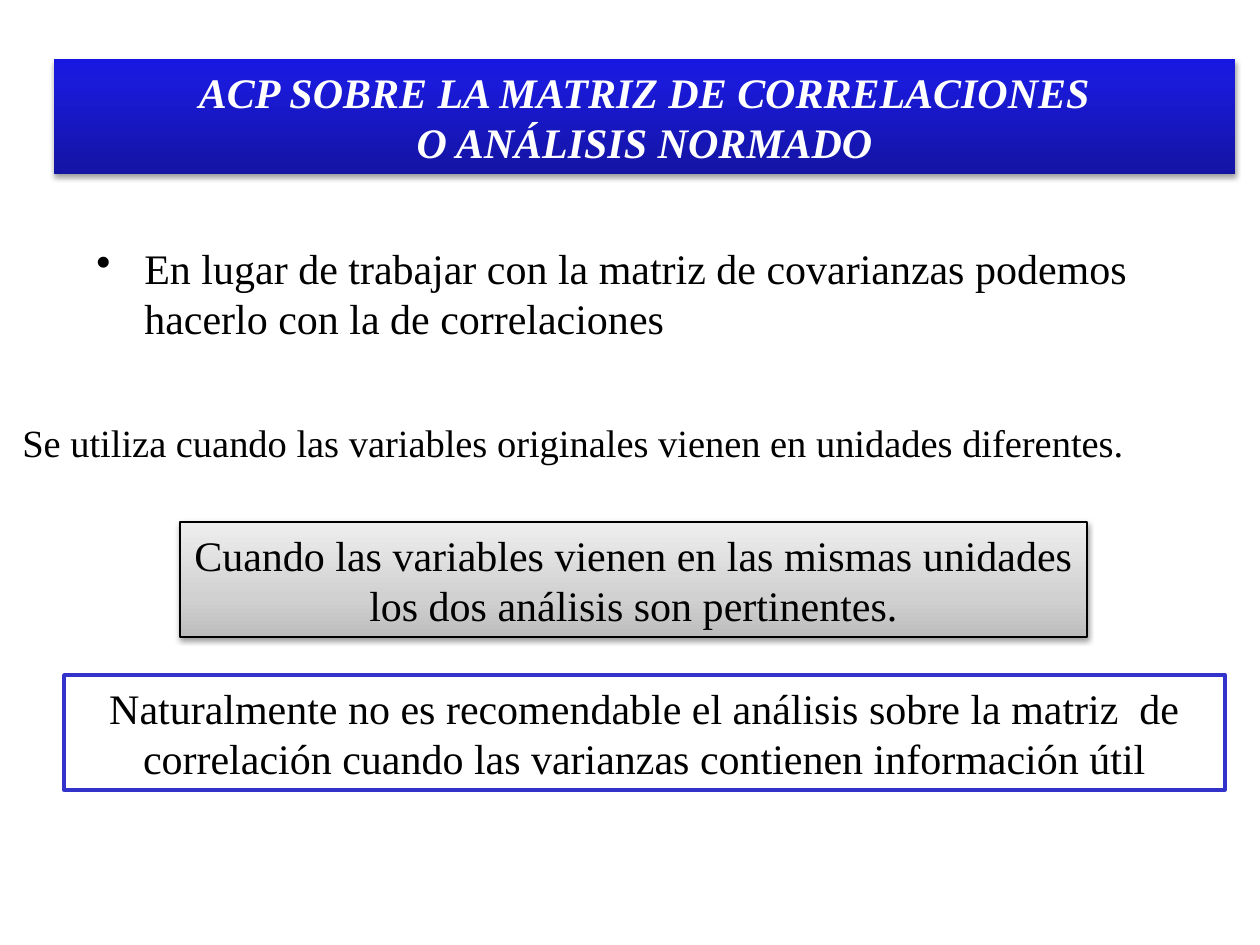
from lxml import etree
from pptx import Presentation
from pptx.dml.color import RGBColor
from pptx.enum.shapes import MSO_SHAPE
from pptx.enum.text import MSO_ANCHOR, PP_ALIGN
from pptx.oxml.ns import qn
from pptx.util import Emu, Pt

PX = 914400 / 126
FONT = "Times New Roman"
RECT = MSO_SHAPE.RECTANGLE
CENTER, LEFT = PP_ALIGN.CENTER, PP_ALIGN.LEFT
MIDDLE, TOP = MSO_ANCHOR.MIDDLE, MSO_ANCHOR.TOP
TITLE_STOPS = [(0, "1414A4"), (80, "1A1ADA"), (100, "1717E2")]
GREY_STOPS = [(0, "BDBDBD"), (35, "D1D1D1"), (100, "EEEEEE")]


def px(n):
    """Turn pixels into EMU."""
    return Emu(round(n * PX))


def rgb(value):
    """Turn a hex string into a colour."""
    return RGBColor.from_string(value)


def add_element(parent, tag, **attrs):
    """Append an XML child with the given attributes."""
    return etree.SubElement(parent, qn(tag), {k: str(v) for k, v in attrs.items()})


def set_gradient(sp, stops):
    """Fill a shape with a gradient that runs from bottom to top."""
    sp.fill.gradient()
    sp.fill.gradient_angle = 90
    stop_list = sp._element.spPr.find(".//" + qn("a:gsLst"))
    for old in list(stop_list):
        stop_list.remove(old)
    for pos, value in stops:
        gs = add_element(stop_list, "a:gs", pos=pos * 1000)
        add_element(gs, "a:srgbClr", val=value)


def set_shadow(sp, alpha):
    """Give a shape a soft shadow below it."""
    sp.shadow.inherit = False
    effects = sp._element.spPr.find(qn("a:effectLst"))
    shadow = add_element(effects, "a:outerShdw", blurRad=40000, dist=20000,
                         dir=5400000, rotWithShape=0)
    color = add_element(shadow, "a:srgbClr", val="000000")
    add_element(color, "a:alpha", val=alpha * 1000)


def set_text(sp, text, size=24, color="000000", align=CENTER, anchor=MIDDLE):
    """Write one paragraph into a shape and return it."""
    tf = sp.text_frame
    tf.text = text
    tf.word_wrap = True
    tf.vertical_anchor = anchor
    p = tf.paragraphs[0]
    p.alignment = align
    p.font.name, p.font.size = FONT, Pt(size)
    p.font.color.rgb = rgb(color)
    return p


def add_title(s, box, text):
    """Place and format the title placeholder as a blue banner."""
    sp = s.shapes.title
    sp.left, sp.top, sp.width, sp.height = map(px, box)
    set_gradient(sp, TITLE_STOPS)
    set_shadow(sp, 38)
    p = set_text(sp, text, color="FFFFFF")
    p.font.bold = p.font.italic = True


def add_text(s, box, text, size=24):
    """Add a left-aligned text box and return its paragraph."""
    sp = s.shapes.add_textbox(*map(px, box))
    return set_text(sp, text, size, align=LEFT, anchor=TOP)


def add_bullet(p, indent):
    """Give a paragraph a hanging round bullet."""
    pPr = p._p.get_or_add_pPr()
    pPr.set("marL", str(px(indent)))
    pPr.set("indent", str(-px(indent)))
    bullet = etree.Element(qn("a:buChar"), char="•")
    pPr.insert(0, bullet)


def add_box(s, box, text, line, width):
    """Add a white outlined rectangle with centred text."""
    sp = s.shapes.add_shape(RECT, *map(px, box))
    sp.shadow.inherit = False
    sp.fill.solid()
    sp.fill.fore_color.rgb = rgb("FFFFFF")
    sp.line.color.rgb = rgb(line)
    sp.line.width = Pt(width)
    set_text(sp, text)
    return sp


def main():
    """Build the slide and save it."""
    prs = Presentation()
    prs.slide_width, prs.slide_height = px(1260), px(945)
    s = prs.slides.add_slide(prs.slide_layouts[5])
    add_title(s, (54, 59, 1181, 115),
              "ACP SOBRE LA MATRIZ DE CORRELACIONES\vO ANÁLISIS NORMADO")
    p = add_text(s, (84, 236, 1071, 139),
                 "En lugar de trabajar con la matriz de covarianzas podemos "
                 "hacerlo con la de correlaciones")
    add_bullet(p, 48)
    add_text(s, (10, 413, 1235, 59),
             "Se utiliza cuando las variables originales vienen en unidades "
             "diferentes.", 22)
    add_box(s, (64, 675, 1161, 115),
            "Naturalmente no es recomendable el análisis sobre la matriz  de "
            "correlación cuando las varianzas contienen información útil",
            "3333CC", 2)
    same_units = add_box(s, (180, 522, 907, 115),
                         "Cuando las variables vienen en las mismas unidades "
                         "los dos análisis son pertinentes.", "000000", 0.75)
    set_gradient(same_units, GREY_STOPS)
    set_shadow(same_units, 38)
    prs.save("out.pptx")


if __name__ == "__main__":
    main()
